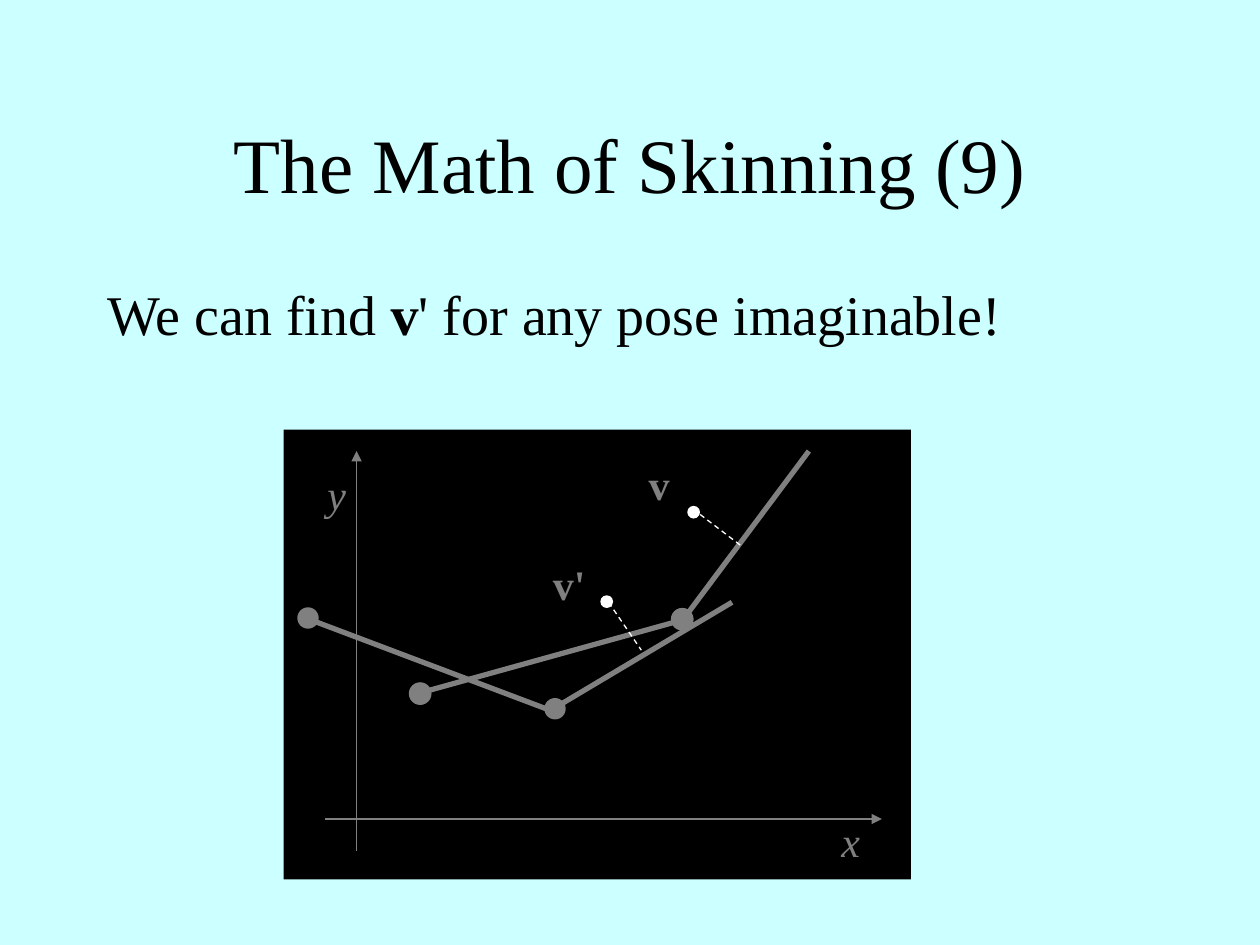
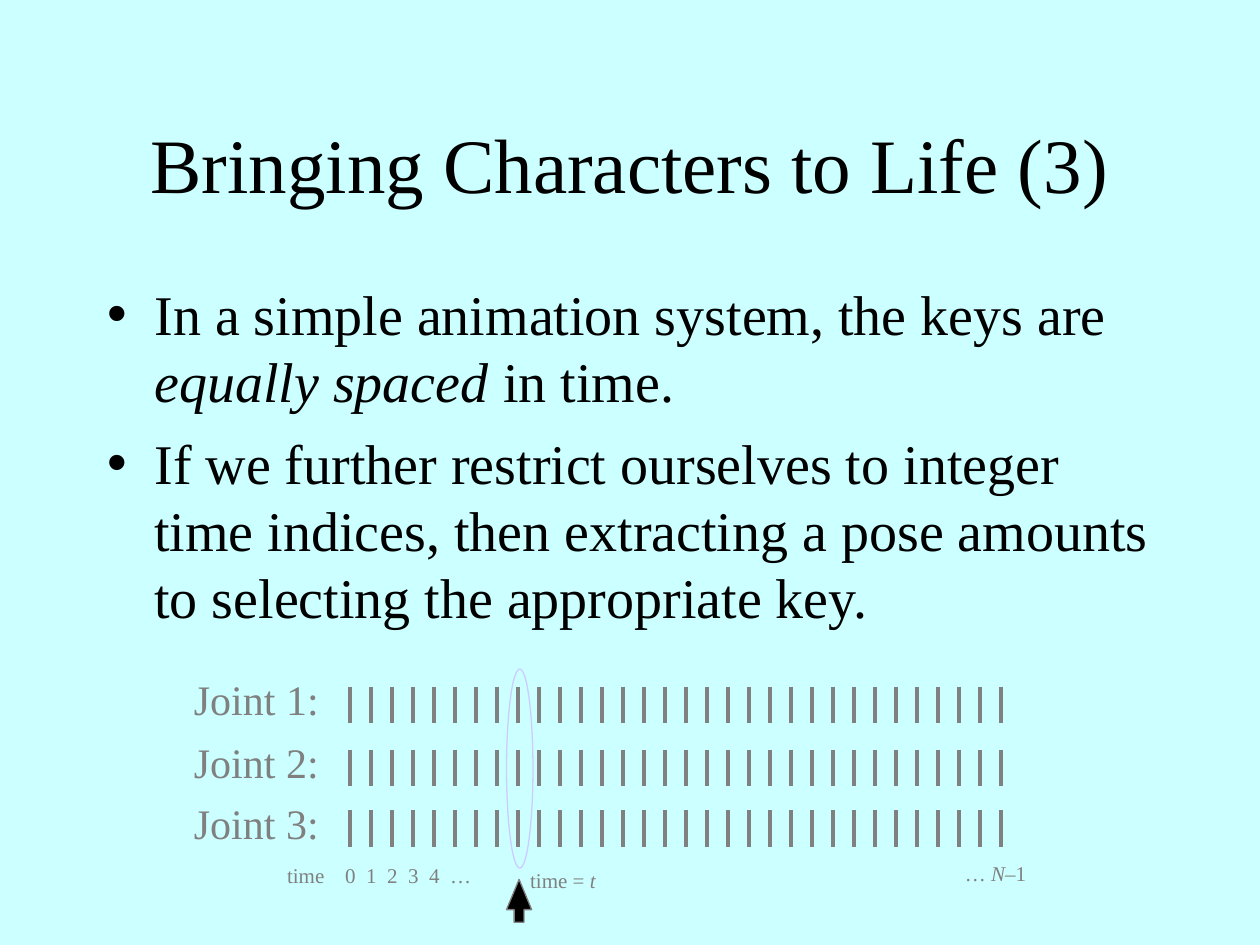
from lxml import etree
from pptx import Presentation
from pptx.dml.color import RGBColor
from pptx.enum.dml import MSO_LINE
from pptx.enum.shapes import MSO_CONNECTOR, MSO_SHAPE
from pptx.enum.text import MSO_AUTO_SIZE
from pptx.oxml.ns import qn
from pptx.util import Inches, Pt

RECT = MSO_SHAPE.RECTANGLE
OVAL = MSO_SHAPE.OVAL
ARROW = MSO_SHAPE.UP_ARROW
STRAIGHT = MSO_CONNECTOR.STRAIGHT
DASH = MSO_LINE.DASH
NO_FIT = MSO_AUTO_SIZE.NONE

CYAN = RGBColor(0xCC, 0xFF, 0xFF)
BLACK = RGBColor(0, 0, 0)
GRAY = RGBColor(0x80, 0x80, 0x80)
WHITE = RGBColor(0xFF, 0xFF, 0xFF)
LILAC = RGBColor(0xCC, 0xCC, 0xFF)
FONT = "Times New Roman"

TICKS = 32
TICK_GAP = 1 / 6


def place(shape, left, top, width, height):
    shape.left, shape.top = Inches(left), Inches(top)
    shape.width, shape.height = Inches(width), Inches(height)


def write(par, parts, size, color):
    for text, style in parts:
        run = par.add_run()
        run.text = text
        font = run.font
        font.name, font.size = FONT, Pt(size)
        font.bold, font.italic = style == "b", style == "i"
        font.color.rgb = color


def add_page(prs, title, items, height, bullets=True):
    slide = prs.slides.add_slide(prs.slide_layouts[1])
    head, body = slide.placeholders
    place(head, 0.75, 0.67, 8.5, 1.25)
    place(body, 0.75, 2.17, 8.5, height)
    write(head.text_frame.paragraphs[0], [(title, "")], 44, BLACK)
    frame = body.text_frame
    for shape in (head, body):
        shape.text_frame.auto_size = NO_FIT
    for index, parts in enumerate(items):
        par = frame.add_paragraph() if index else frame.paragraphs[0]
        par.space_before = Pt(8 if index else 0)
        if not bullets:
            etree.SubElement(par._p.get_or_add_pPr(), qn("a:buNone"))
        write(par, parts, 32, BLACK)
    return slide


def add_form(slide, kind, box, fill=None, line=None):
    shape = slide.shapes.add_shape(kind, *map(Inches, box))
    shape.shadow.inherit = False
    if fill is None:
        shape.fill.background()
    else:
        shape.fill.solid()
        shape.fill.fore_color.rgb = fill
    if line is None:
        shape.line.fill.background()
    else:
        shape.line.color.rgb = line
        shape.line.width = Pt(0.75)
    return shape


def add_dot(slide, left, top, size, fill, line=None):
    add_form(slide, OVAL, (left, top, size, size), fill, line)


def add_line(slide, start, end, width, color=GRAY, dash=None, arrow=False):
    line = slide.shapes.add_connector(STRAIGHT, *map(Inches, start + end))
    line.line.color.rgb = color
    line.line.width = Pt(width)
    if dash is not None:
        line.line.dash_style = dash
    if arrow:
        etree.SubElement(line.line._get_or_add_ln(), qn("a:tailEnd"), type="triangle")
    etree.SubElement(line._element.spPr, qn("a:effectLst"))


def add_label(slide, box, parts, size=24, wrap=True, tabs=()):
    frame = slide.shapes.add_textbox(*map(Inches, box)).text_frame
    frame.word_wrap = wrap
    par = frame.paragraphs[0]
    if tabs:
        stops = etree.SubElement(par._p.get_or_add_pPr(), qn("a:tabLst"))
        for tab in tabs:
            etree.SubElement(stops, qn("a:tab"), pos=str(Inches(tab)), algn="l")
    write(par, parts, size, GRAY)


def draw_pose(slide):
    add_form(slide, RECT, (2.25, 3.41, 4.98, 3.57), BLACK)
    add_line(slide, (2.83, 6.75), (2.83, 3.58), 0.75, arrow=True)
    add_line(slide, (2.58, 6.5), (7, 6.5), 0.75, arrow=True)
    bones = [
        ((3.33, 5.5), (5.42, 4.92)),
        ((5.42, 4.92), (6.42, 3.58)),
        ((2.44, 4.91), (4.4, 5.65)),
        ((4.4, 5.62), (5.81, 4.78)),
    ]
    for start, end in bones:
        add_line(slide, start, end, 3)
    joints = [(3.25, 5.42, GRAY), (5.33, 4.83, GRAY), (2.36, 4.82, None), (4.32, 5.54, None)]
    for left, top, edge in joints:
        add_dot(slide, left, top, 0.17, GRAY, edge)
    for left, top in [(4.77, 4.73), (5.46, 4.02)]:
        add_dot(slide, left, top, 0.09, WHITE, WHITE)
    for start, end in [((4.83, 4.78), (5.09, 5.16)), ((5.5, 4.04), (5.88, 4.33))]:
        add_line(slide, start, end, 0.75, WHITE, DASH)
    names = [
        ("y", "i", 2.5, 3.67, 0.44),
        ("x", "i", 6.58, 6.42, 0.44),
        ("v'", "b", 4.29, 4.38, 0.59),
        ("v", "b", 5.05, 3.59, 0.59),
    ]
    for name, style, left, top, width in names:
        add_label(slide, (left, top, width, 0.5), [(name, style)])


def draw_keys(slide):
    for row, top in enumerate((5.45, 5.95, 6.43), 1):
        add_label(slide, (1.44, top - 0.15, 1.19, 0.5), [(f"Joint {row}:", "")], wrap=False)
        for tick in range(TICKS):
            left = 2.78 + tick * TICK_GAP
            add_line(slide, (left, top), (left, top + 0.29), 2.25)
    tabs = [0.46 + stop * TICK_GAP for stop in range(6)]
    scale = "\t".join(["time", "0", "1", "2", "3", "4", "…"])
    add_label(slide, (2.18, 6.8, 1.78, 0.3), [(scale, "")], 12, tabs=tabs)
    add_form(slide, OVAL, (4.02, 5.31, 0.21, 1.58), line=LILAC)
    arrow = add_form(slide, ARROW, (4.02, 6.98, 0.2, 0.34), BLACK, GRAY)
    arrow.adjustments[0] = 0.39
    arrow.adjustments[1] = 1.2
    add_label(slide, (4.11, 6.84, 0.74, 0.3), [("time = ", ""), ("t", "i")], 12)
    add_label(slide, (7.56, 6.78, 0.8, 0.3), [("…", ""), (" N", "i"), ("–1", "")], 12)


def main():
    prs = Presentation()
    prs.slide_width, prs.slide_height = Inches(10), Inches(7.5)
    fill = prs.slide_master.background.fill
    fill.solid()
    fill.fore_color.rgb = CYAN

    claim = [("We can find ", ""), ("v", "b"), ("' for any pose imaginable!", "")]
    draw_pose(add_page(prs, "The Math of Skinning (9)", [claim], 4.5, bullets=False))

    points = [
        [
            ("In a simple animation system, the keys are ", ""),
            ("equally spaced ", "i"),
            ("in time.", ""),
        ],
        [
            (
                "If we further restrict ourselves to integer time indices, then "
                "extracting a pose amounts to selecting the appropriate key.",
                "",
            )
        ],
    ]
    draw_keys(add_page(prs, "Bringing Characters to Life (3)", points, 2.97))
    prs.save("out.pptx")


if __name__ == "__main__":
    main()
